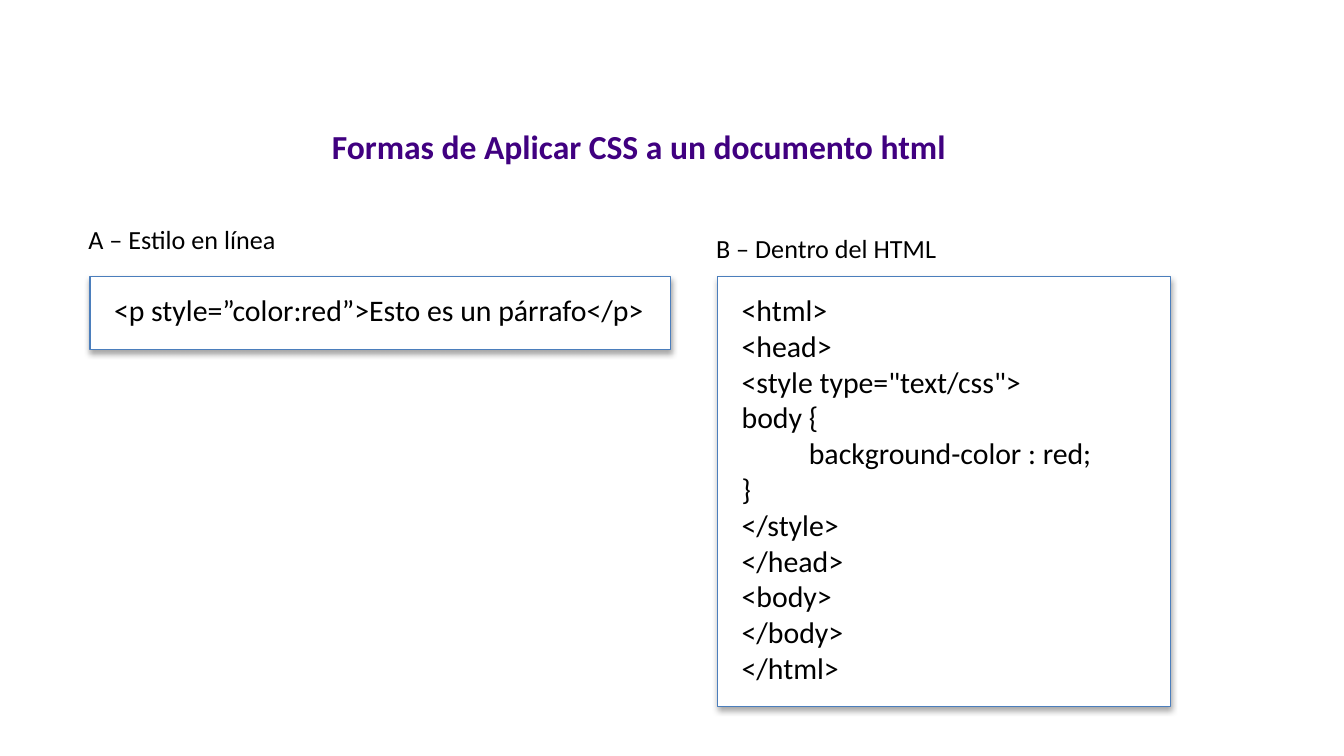
from dataclasses import dataclass

from lxml import etree
from pptx import Presentation
from pptx.dml.color import RGBColor
from pptx.enum.shapes import MSO_SHAPE
from pptx.enum.text import MSO_AUTO_SIZE, PP_ALIGN
from pptx.oxml.ns import qn
from pptx.util import Inches, Pt

RECT = MSO_SHAPE.RECTANGLE
GROW = MSO_AUTO_SIZE.SHAPE_TO_FIT_TEXT
LEFT, CENTER = PP_ALIGN.LEFT, PP_ALIGN.CENTER


@dataclass(frozen=True)
class Theme:
    """Colours, font and type sizes of the slide."""
    title: str = "400080"
    ink: str = "000000"
    paper: str = "FFFFFF"
    border: str = "4B7EBC"
    font: str = "Calibri"
    title_size: int = 18
    code_size: int = 16
    label_size: int = 14


THEME = Theme()
W = 10
H = W * 9 / 16
PANEL_TOP = 2.06
CODE_INSET = (0.08, 0.06)
CODE_WIDTH = 4.48

INLINE_CODE = ["<p style=”color:red”>Esto es un párrafo</p>"]
PAGE_CODE = [
    "<html> ", "<head> ", '<style type="text/css">', "body {",
    "\tbackground-color : red;", "}", "</style>", "</head> ",
    "<body>", "</body> ", "</html>",
]


def add_text(s, box, lines, size, color=THEME.ink, bold=False, align=LEFT):
    """Place lines of text, one paragraph each, in the box."""
    tf = s.shapes.add_textbox(*map(Inches, box)).text_frame
    tf.word_wrap = True
    tf.auto_size = GROW
    tf.text = "\n".join(lines)
    for p in tf.paragraphs:
        p.alignment = align
        for r in p.runs:
            r.font.name = THEME.font
            r.font.size = Pt(size)
            r.font.bold = bold
            r.font.color.rgb = RGBColor.from_string(color)


def add_shadow(sp):
    """Give the shape a soft shadow below it."""
    sp.shadow.inherit = False
    effects = sp._element.spPr.find(qn("a:effectLst"))
    shadow = etree.SubElement(
        effects, qn("a:outerShdw"), blurRad=str(Pt(3.1)), dist=str(Pt(1.8)),
        dir="5400000", rotWithShape="0")
    color = etree.SubElement(shadow, qn("a:srgbClr"), val=THEME.ink)
    etree.SubElement(color, qn("a:alpha"), val="35000")


def add_code_panel(s, box, lines):
    """Draw a framed panel in the box with code set inside it."""
    x, y, w, h = box
    dx, dy = CODE_INSET
    sp = s.shapes.add_shape(RECT, *map(Inches, box))
    sp.fill.solid()
    sp.fill.fore_color.rgb = RGBColor.from_string(THEME.paper)
    sp.line.color.rgb = RGBColor.from_string(THEME.border)
    sp.line.width = Pt(0.75)
    add_shadow(sp)
    add_text(s, (x + dx, y + dy, CODE_WIDTH, h - 2 * dy), lines,
             THEME.code_size)


def add_example(s, box, label, label_rise, label_width, lines):
    """Place a labelled code panel; the label sits label_rise above the box."""
    x, y = box[:2]
    add_text(s, (x - 0.11, y - label_rise, label_width, 0.34), [label],
             THEME.label_size)
    add_code_panel(s, box, lines)


def build_slide(prs):
    """Build the slide with its heading and two CSS examples."""
    s = prs.slides.add_slide(prs.slide_layouts[6])
    add_text(s, (2.14, 0.89, 5.23, 0.4),
             ["Formas de Aplicar CSS a un documento html"],
             THEME.title_size, THEME.title, bold=True, align=CENTER)
    add_example(s, (0.67, PANEL_TOP, 4.32, 0.54), "A – Estilo en línea ",
                0.45, 1.76, INLINE_CODE)
    add_example(s, (5.34, PANEL_TOP, 3.37, 3.2), "B – Dentro del HTML",
                0.38, 2.6, PAGE_CODE)


prs = Presentation()
prs.slide_width, prs.slide_height = Inches(W), Inches(H)
build_slide(prs)
prs.save("out.pptx")
